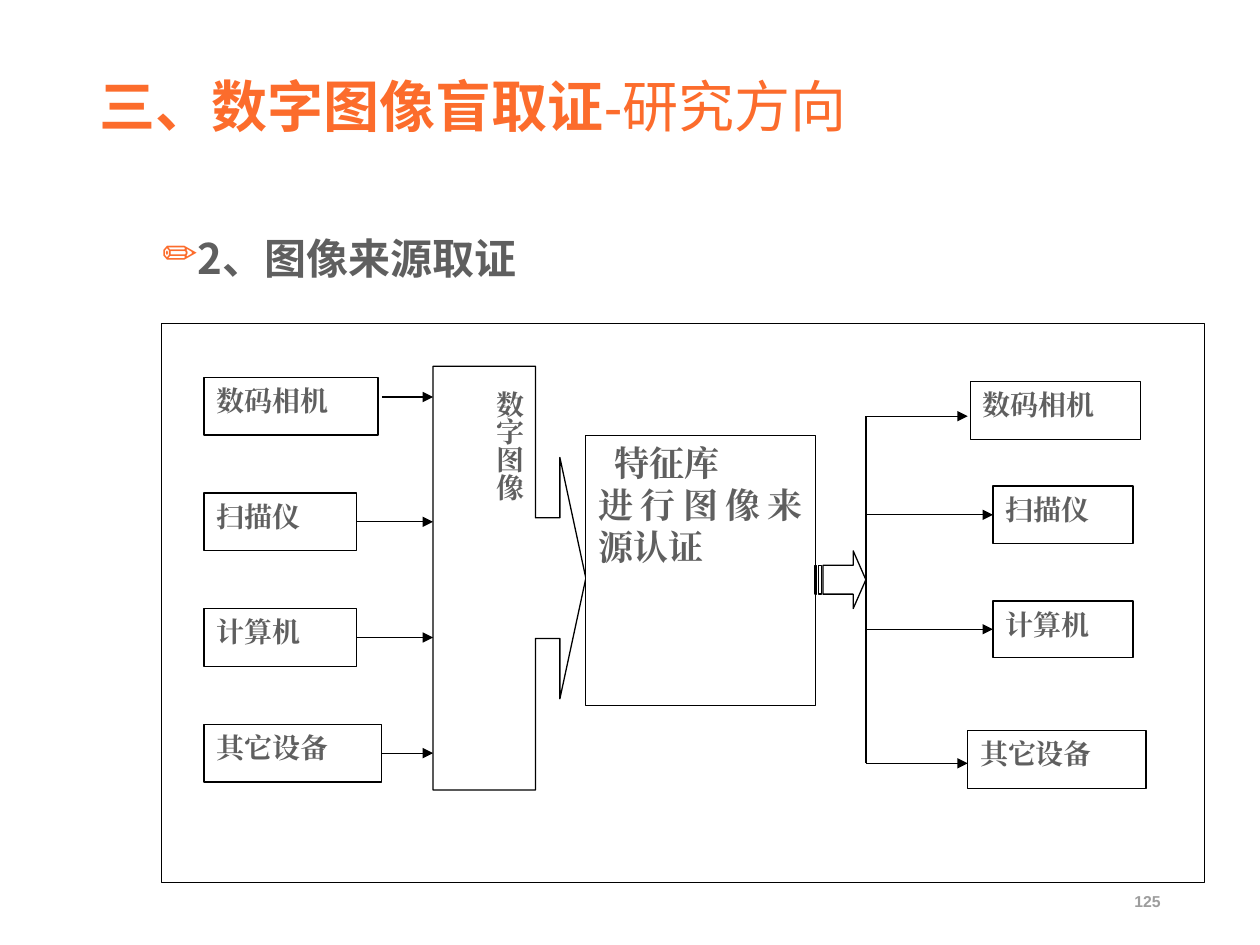
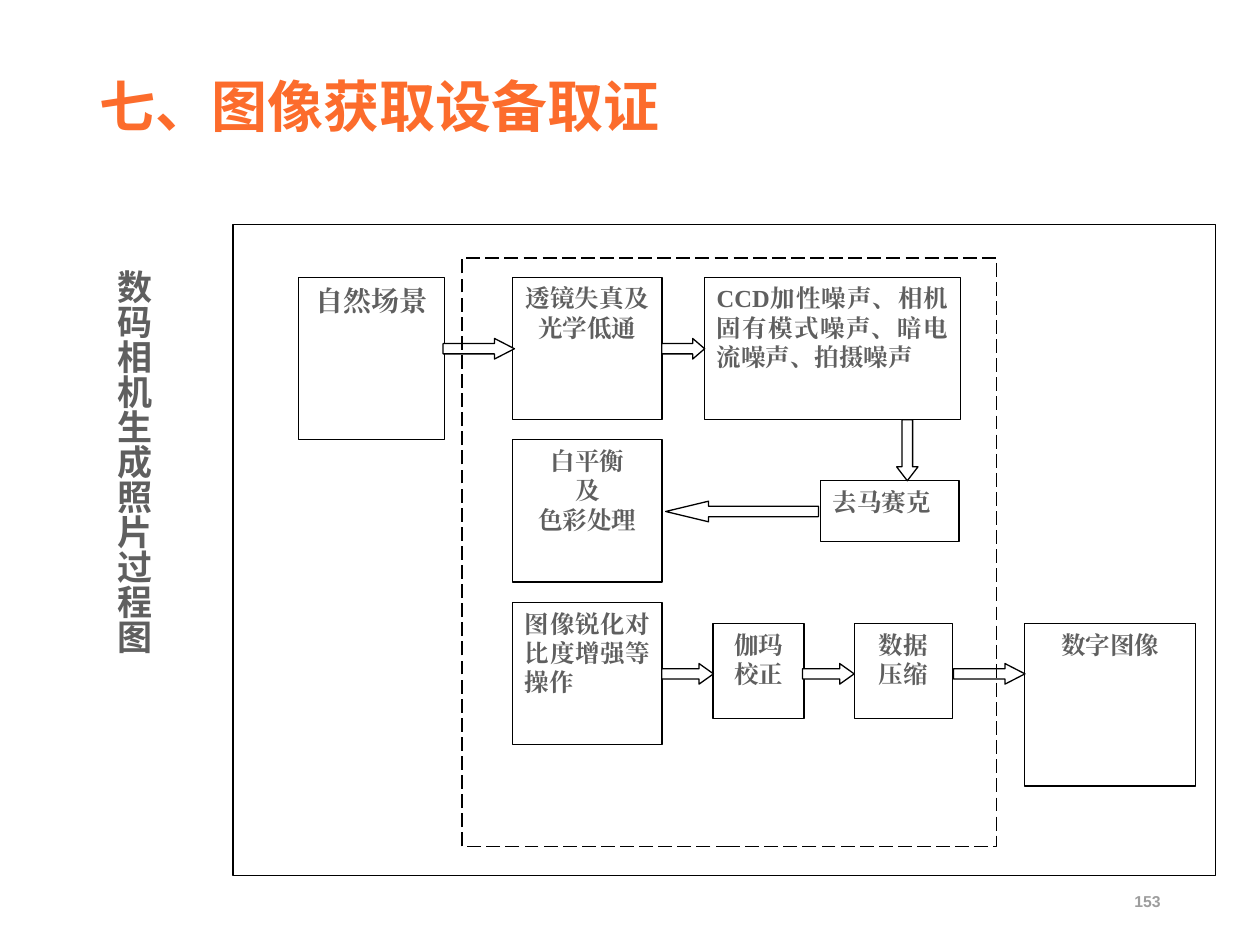
from dataclasses import dataclass

from lxml import etree
from pptx import Presentation
from pptx import util as u
from pptx.dml.color import RGBColor
from pptx.enum import dml, shapes, text
from pptx.oxml import ns

Pt = u.Pt
Kind = shapes.MSO_SHAPE
Align = text.PP_ALIGN
Anchor = text.MSO_ANCHOR


# ---- Theme ----
@dataclass(frozen=True)
class Theme:
    accent: str = "FC6C2C"
    body: str = "5F5F5F"
    footer: str = "9D9D9D"
    ink: str = "000000"
    paper: str = "FFFFFF"
    title_font: str = "Arial"
    body_font: str = "Noto Sans CJK SC"
    diagram_font: str = "Times New Roman"
    title_size: float = 32
    heading_size: float = 24
    large_size: float = 20
    label_size: float = 16
    step_size: float = 14
    footer_size: float = 9
    line_width: float = 0.75


THEME = Theme()


# ---- Repeated elements ----
@dataclass(frozen=True)
class Area:
    left: float
    top: float
    width: float
    height: float

    @property
    def right(self) -> float:
        return self.left + self.width

    @property
    def middle(self) -> float:
        return self.top + self.height / 2

    def lengths(self) -> list:
        return [Pt(v) for v in (self.left, self.top, self.width, self.height)]


@dataclass(frozen=True)
class Device:
    label: str
    area: Area
    arrow_y: float

    @property
    def centred(self) -> bool:
        """The arrow meets the middle of the box side."""
        return abs(self.arrow_y - self.area.middle) < 2


@dataclass(frozen=True)
class Step:
    lines: tuple
    area: Area
    align: Align = Align.CENTER
    size: float = THEME.step_size


@dataclass(frozen=True)
class BlockArrow:
    kind: Kind
    area: Area
    head: float


TITLE = Area(49.7, 28.8, 621.4, 67.7)
BODY = Area(49.7, 115.2, 621.4, 371.5)
PAGE_NUMBER = Area(508.3, 500.4, 162, 28.8)


# ---- Drawing ----
def write(frame, paragraphs, *, size, font=THEME.diagram_font, color=THEME.body,
          bold=True, align=None, anchor=Anchor.TOP, spacing=None, first_indent=0,
          bullet=None, vertical=False):
    """Fill a frame; a paragraph is a string or a list of (text, bold) runs."""
    frame.word_wrap = True
    frame.vertical_anchor = anchor
    if vertical:
        frame._txBody.bodyPr.set("vert", "eaVert")
    for i, content in enumerate(paragraphs):
        paragraph = frame.paragraphs[0] if i == 0 else frame.add_paragraph()
        paragraph.alignment = align
        paragraph.line_spacing = spacing
        if i == 0 and first_indent:
            props = paragraph._p.get_or_add_pPr()
            props.set("marL", "0")
            props.set("indent", str(Pt(first_indent)))
        if bullet:
            add_bullet(paragraph, bullet)
        runs = [(content, bold)] if isinstance(content, str) else content
        for words, is_bold in runs:
            run = paragraph.add_run()
            run.text = words
            run.font.size = Pt(size)
            run.font.bold = is_bold
            run.font.name = font
            run.font.color.rgb = RGBColor.from_string(color)
            east_asian = etree.SubElement(run._r.get_or_add_rPr(), ns.qn("a:ea"))
            east_asian.set("typeface", font)


def add_bullet(paragraph, mark: str) -> None:
    props = paragraph._p.get_or_add_pPr()
    tint = etree.SubElement(props, ns.qn("a:buClr"))
    etree.SubElement(tint, ns.qn("a:srgbClr")).set("val", THEME.accent)
    etree.SubElement(props, ns.qn("a:buChar")).set("char", mark)


def add_text(slide, area: Area, paragraphs, **style) -> None:
    write(slide.shapes.add_textbox(*area.lengths()).text_frame, paragraphs, **style)


def add_block(slide, area: Area, kind=Kind.RECTANGLE, adjust=(), filled=True):
    block = slide.shapes.add_shape(kind, *area.lengths())
    block.shadow.inherit = False
    if filled:
        block.fill.solid()
        block.fill.fore_color.rgb = RGBColor.from_string(THEME.paper)
    else:
        block.fill.background()
    block.line.color.rgb = RGBColor.from_string(THEME.ink)
    block.line.width = Pt(THEME.line_width)
    for i, value in enumerate(adjust):
        block.adjustments[i] = value
    return block


def add_line(slide, x1: float, y1: float, x2: float, y2: float, arrow=True):
    line = slide.shapes.add_connector(
        shapes.MSO_CONNECTOR.STRAIGHT, Pt(x1), Pt(y1), Pt(x2), Pt(y2))
    line.line.color.rgb = RGBColor.from_string(THEME.ink)
    line.line.width = Pt(THEME.line_width)
    if arrow:
        tail = etree.SubElement(line.line._get_or_add_ln(), ns.qn("a:tailEnd"))
        tail.set("type", "triangle")
    etree.SubElement(line._element.spPr, ns.qn("a:effectLst"))
    return line


def add_device(slide, device: Device):
    box = add_block(slide, device.area)
    write(box.text_frame, [device.label], size=THEME.label_size, align=Align.JUSTIFY)
    return box


def start_slide(prs, title_runs, number: str):
    slide = prs.slides.add_slide(prs.slide_layouts[6])
    add_text(slide, PAGE_NUMBER, [number], size=THEME.footer_size,
             font=THEME.title_font, color=THEME.footer, align=Align.RIGHT,
             anchor=Anchor.MIDDLE)
    add_text(slide, TITLE, [title_runs], size=THEME.title_size,
             font=THEME.title_font, color=THEME.accent, spacing=0.9,
             anchor=Anchor.MIDDLE)
    return slide


# ---- Slide: image source forensics ----
def build_source_slide(prs) -> None:
    slide = start_slide(prs, [("三、数字图像盲取证", True), ("-研究方向", False)], "125")
    add_text(slide, BODY, ["2、图像来源取证"], size=THEME.heading_size,
             font=THEME.body_font, spacing=1.5, first_indent=36, bullet="✏")
    add_block(slide, Area(92.2, 185, 596.2, 319.4))

    # Devices feeding the digital image
    names = ("数码相机", "扫描仪", "计算机", "其它设备")
    widths = (99.4, 87.1, 87.1, 101.5)
    arrow_rows = (226.9, 299.5, 363.6, 430.6)
    image_left, first_arrow_left = 247.5, 218.2
    for i, (name, width, y) in enumerate(zip(names, widths, arrow_rows)):
        device = Device(name, Area(116.6, 215.6 + 66.1 * i, width, 33), y)
        box = add_device(slide, device)
        if device.centred:
            y = device.area.middle
            add_line(slide, device.area.right, y, image_left, y).begin_connect(box, 3)
        else:
            add_line(slide, first_arrow_left, y, image_left, y)

    # Digital image and feature library
    add_block(slide, Area(image_left, 209.3, 87.3, 242.2),
              Kind.RIGHT_ARROW_CALLOUT, (0.79, 0.79, 0.17, 0.67))
    add_text(slide, Area(256.3, 216, 48.2, 231.1), ["数字图像"],
             size=THEME.label_size, vertical=True)
    library = add_block(slide, Area(334.8, 248.8, 131.2, 154.3))
    write(library.text_frame, ["特征库", "进行图像来源认证"], size=THEME.large_size,
          align=Align.JUSTIFY, first_indent=9)
    add_block(slide, Area(465.8, 314.8, 29, 33), Kind.STRIPED_RIGHT_ARROW, (0.5, 0.25))

    # Devices recognised as the source
    sources = [
        Device(names[0], Area(554.4, 218, 97.2, 33), 237.8),
        Device(names[1], Area(567.4, 277.7, 80, 33), 293.2),
        Device(names[2], Area(567.4, 343.5, 80, 32.2), 359),
        Device(names[3], Area(553, 417.6, 101.9, 33), 436.2),
    ]
    trunk_x, outer_arrow_end = 494.8, 553
    add_line(slide, trunk_x, sources[0].arrow_y, trunk_x, sources[-1].arrow_y, arrow=False)
    for source in sources:
        box = add_device(slide, source)
        if source.centred:
            y = source.area.middle
            add_line(slide, trunk_x, y, source.area.left, y).end_connect(box, 1)
        else:
            add_line(slide, trunk_x, source.arrow_y, outer_arrow_end, source.arrow_y)


# ---- Slide: how a camera makes a photo ----
def build_camera_slide(prs) -> None:
    slide = start_slide(prs, [("七、图像获取设备取证", True)], "153")
    add_block(slide, Area(133.2, 128.2, 561.4, 372.2))

    # Processing steps
    top, pitch, low_top = 158.4, 92.9, 356.2
    optics, balance, sharpen = (Area(292.9, top + pitch * i, 85.5, 81.4) for i in range(3))
    steps = [
        Step(("自然场景",), Area(170.6, top, 83.5, pitch), size=THEME.label_size),
        Step(("透镜失真及", "光学低通"), optics),
        Step(("CCD加性噪声、相机固有模式噪声、暗电流噪声、拍摄噪声",),
             Area(402.5, top, 146.5, 81.4), Align.JUSTIFY),
        Step(("去马赛克",), Area(468.7, 274.7, 79.3, 34.8), Align.JUSTIFY),
        Step(("白平衡", "及", "色彩处理"), balance),
        Step(("图像锐化对比度增强等操作",), sharpen, Align.JUSTIFY),
        Step(("伽玛", "校正"), Area(407.5, low_top, 52, 54.3)),
        Step(("数据", "压缩"), Area(488.2, low_top, 56, 54.3)),
        Step(("数字图像",), Area(585.6, low_top, 97.7, pitch)),
    ]
    for step in steps:
        write(add_block(slide, step.area).text_frame, step.lines,
              size=step.size, align=step.align)

    # Flow between the steps
    thick, upper, lower = 11.8, 193.4, 379.2
    flow = [
        BlockArrow(Kind.RIGHT_ARROW, Area(253.2, upper, 40.8, thick), 0.97),
        BlockArrow(Kind.RIGHT_ARROW, Area(378.2, upper, 24.5, thick), 0.58),
        BlockArrow(Kind.DOWN_ARROW, Area(512.4, 239.8, 12.2, 34.9), 0.65),
        BlockArrow(Kind.LEFT_ARROW, Area(380.4, 286.4, 87.3, thick), 2.08),
        BlockArrow(Kind.RIGHT_ARROW, Area(378.2, lower, 29.5, thick), 0.7),
        BlockArrow(Kind.RIGHT_ARROW, Area(458.6, lower, 29.5, thick), 0.7),
        BlockArrow(Kind.RIGHT_ARROW, Area(544.9, lower, 40.8, thick), 0.97),
    ]
    for arrow in flow:
        add_block(slide, arrow.area, arrow.kind, (0.5, arrow.head))

    # Camera boundary and caption
    camera = add_block(slide, Area(264.2, 147.6, 305.3, 336.2), filled=False)
    camera.line.width = Pt(1)
    camera.line.dash_style = dml.MSO_LINE.LONG_DASH
    add_text(slide, Area(56.9, 146.9, 38.9, 316.1), ["数码相机生成照片过程图"],
             size=THEME.large_size, font=THEME.body_font, anchor=Anchor.MIDDLE,
             vertical=True)


def main() -> None:
    prs = Presentation()
    prs.slide_width, prs.slide_height = Pt(720), Pt(540)
    build_source_slide(prs)
    build_camera_slide(prs)
    prs.save("out.pptx")


if __name__ == "__main__":
    main()
